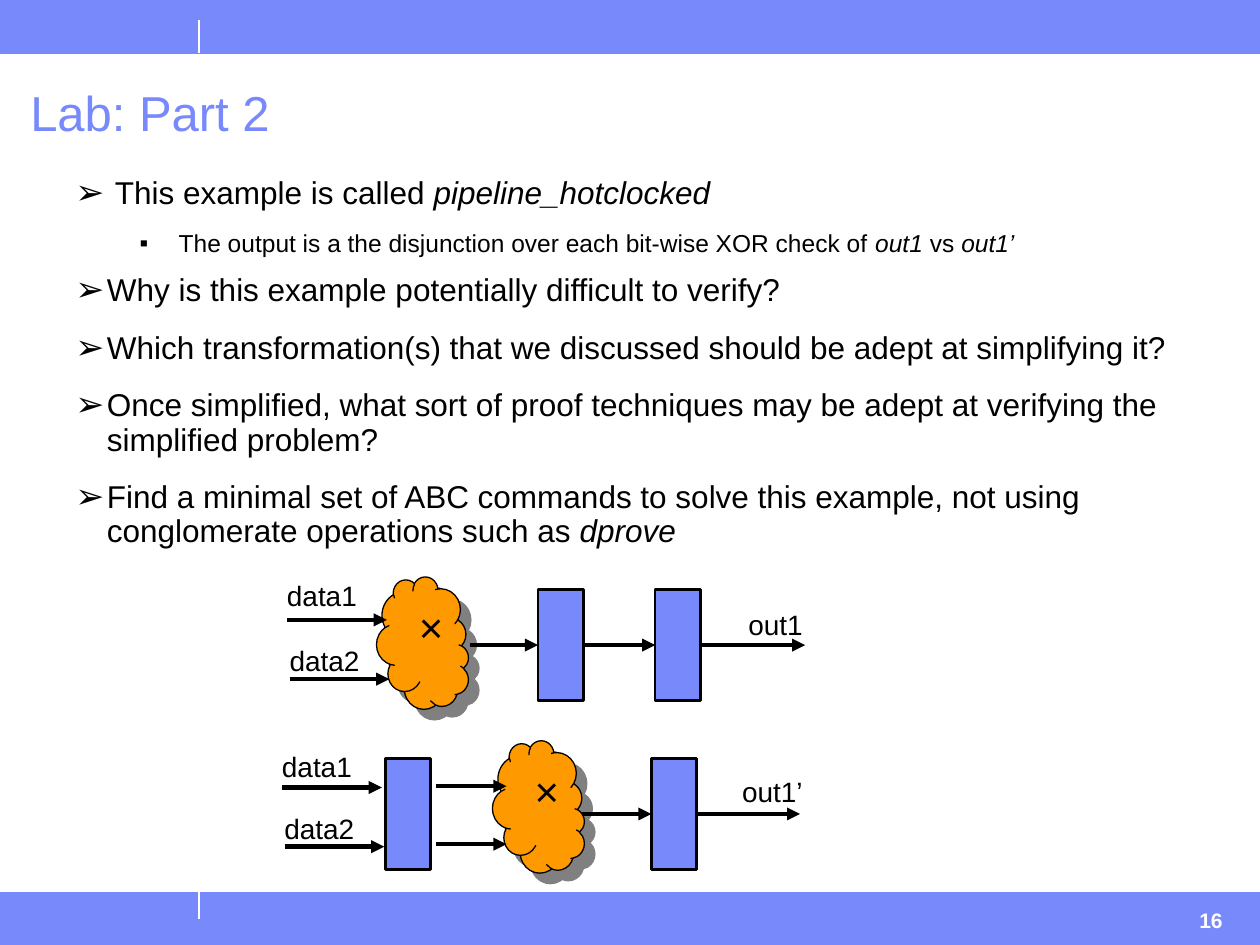
from pptx import Presentation
from pptx.dml.color import RGBColor
from pptx.enum.shapes import MSO_CONNECTOR, MSO_SHAPE
from pptx.enum.text import MSO_ANCHOR, MSO_AUTO_SIZE, PP_ALIGN
from pptx.oxml.ns import qn
from pptx.util import Inches, Pt
from lxml.etree import SubElement

BLUE = RGBColor(0x78, 0x89, 0xFB)
ORANGE = RGBColor(0xFF, 0x99, 0x00)
BLACK = RGBColor(0, 0, 0)
WHITE = RGBColor(0xFF, 0xFF, 0xFF)

BOX_W, BOX_H = 0.36, 0.88
CLOUD_W, CLOUD_H = 1.05, 0.73

# level: (left margin, hanging indent, bullet, bullet %, size, before, after)
LEVELS = [(0.25, 0.25, "➢", 110, 18, 6.8, 6.8),
          (0.82, 0.31, "▪", 100, 14, 4.4, 2.6)]

# (level, runs); every second run is italic
BULLETS = [
    (0, [" This example is called ", "pipeline_hotclocked"]),
    (1, ["The output is a the disjunction over each bit-wise XOR check of ",
         "out1", " vs ", "out1’"]),
    (0, ["Why is this example potentially difficult to verify?"]),
    (0, ["Which transformation(s) that we discussed should be adept at "
         "simplifying it?"]),
    (0, ["Once simplified, what sort of proof techniques may be adept at "
         "verifying the simplified problem?"]),
    (0, ["Find a minimal set of ABC commands to solve this example, not using "
         "conglomerate operations such as ", "dprove"]),
]


class SlideBuilder:
    def __init__(self, slide, font="Arial"):
        self.slide = slide
        self.font = font

    def run(self, p, text, size, color=BLACK, bold=False, italic=False):
        r = p.add_run()
        r.text = text
        f = r.font
        f.name, f.size, f.bold, f.italic = self.font, Pt(size), bold, italic
        f.color.rgb = color

    def title(self, text, x, y, w, h):
        sp = self.slide.shapes.title
        sp.left, sp.top, sp.width, sp.height = map(Inches, (x, y, w, h))
        tf = sp.text_frame
        tf.auto_size = MSO_AUTO_SIZE.NONE
        tf.vertical_anchor = MSO_ANCHOR.TOP
        p = tf.paragraphs[0]
        p.alignment = PP_ALIGN.LEFT
        p.line_spacing = 0.9
        self.run(p, text, 28, BLUE)

    def text_box(self, x, y, w, h, wrap=True):
        sp = self.slide.shapes.add_textbox(*map(Inches, (x, y, w, h)))
        sp.text_frame.word_wrap = wrap
        return sp.text_frame

    def label(self, text, x, y, w):
        """One-line signal name; no side margins, so it always fits its box."""
        tf = self.text_box(x, y, w, 0.37, wrap=False)
        tf.auto_size = MSO_AUTO_SIZE.NONE
        tf.margin_left = tf.margin_right = 0
        p = tf.paragraphs[0]
        p.alignment = PP_ALIGN.CENTER
        self.run(p, text, 16)

    def bullets(self, items, x, y, w, h):
        tf = self.text_box(x, y, w, h)
        for i, (level, runs) in enumerate(items):
            margin, hang, char, percent, size, before, after = LEVELS[level]
            p = tf.add_paragraph() if i else tf.paragraphs[0]
            p.level = level
            p.line_spacing = 0.9
            p.space_before = Pt(before if i else 0)
            p.space_after = Pt(after)
            pPr = p._p.get_or_add_pPr()
            pPr.set("marL", str(Inches(margin)))
            pPr.set("indent", str(-Inches(hang)))
            color = SubElement(pPr, qn("a:buClr"))
            SubElement(color, qn("a:srgbClr"), val=str(BLACK))
            SubElement(pPr, qn("a:buSzPct"), val=str(percent * 1000))
            SubElement(pPr, qn("a:buFont"), typeface=self.font)
            SubElement(pPr, qn("a:buChar"), char=char)
            for n, text in enumerate(runs):
                self.run(p, text, size, italic=n % 2 == 1)

    def shape(self, kind, x, y, w, h, fill, line, line_width):
        sp = self.slide.shapes.add_shape(kind, *map(Inches, (x, y, w, h)))
        sp.shadow.inherit = False
        sp.fill.solid()
        sp.fill.fore_color.rgb = fill
        sp.line.color.rgb = line
        sp.line.width = Pt(line_width)
        return sp

    def band(self, y):
        self.shape(MSO_SHAPE.RECTANGLE, 0, y, 10, 0.42, BLUE, BLUE, 0.25)

    def register(self, x, y):
        return self.shape(MSO_SHAPE.RECTANGLE, x, y, BOX_W, BOX_H,
                          BLUE, BLACK, 1.5)

    def multiplier(self, x, y):
        """Upright logic cloud with a hard shadow and a multiplication sign."""
        sp = self.shape(MSO_SHAPE.CLOUD, x, y, CLOUD_W, CLOUD_H,
                        ORANGE, BLACK, 0.75)
        sp.rotation = 90
        effects = sp._element.spPr.find(qn("a:effectLst"))
        shadow = SubElement(effects, qn("a:outerShdw"), dist=str(Pt(8.5)),
                            dir="2700000", algn="ctr", rotWithShape="0")
        SubElement(shadow, qn("a:srgbClr"), val="808080")
        tf = sp.text_frame
        tf.margin_left = tf.margin_right = Inches(0.05)
        tf.margin_top = tf.margin_bottom = Inches(0.1)
        tf.vertical_anchor = MSO_ANCHOR.TOP
        body = tf._txBody.bodyPr
        body.set("vert", "eaVert")
        body.set("rot", "10800000")
        p = tf.paragraphs[0]
        p.alignment = PP_ALIGN.CENTER
        self.run(p, "×", 24)

    def line(self, x1, y1, x2, y2, color=WHITE, width=0.75):
        cx = self.slide.shapes.add_connector(
            MSO_CONNECTOR.STRAIGHT, *map(Inches, (x1, y1, x2, y2)))
        cx.line.color.rgb = color
        cx.line.width = Pt(width)
        SubElement(cx._element.spPr, qn("a:effectLst"))
        return cx

    def arrow(self, x1, x2, y, source=None, target=None):
        """Level arrow, joined to the sides of registers where given."""
        cx = self.line(x1, y, x2, y, BLACK, 2.5)
        SubElement(cx.line._get_or_add_ln(), qn("a:tailEnd"), type="triangle")
        if source is not None:
            cx.begin_connect(source, 3)
        if target is not None:
            cx.end_connect(target, 1)


def draw_frame(b):
    for y in (0, 7.08):
        b.band(y)
    b.line(1.58, 0.16, 1.58, 0.42)
    b.line(1.58, 7.08, 1.58, 7.29)
    p = b.text_box(9.42, 7.15, 0.49, 0.35).paragraphs[0]
    b.run(p, "16", 12, WHITE, bold=True)


def draw_inputs(b, x, label_tops, arrow_ys):
    for i, (top, y) in enumerate(zip(label_tops, arrow_ys)):
        left = x + 0.02 * i
        b.label(f"data{i + 1}", left, top, 0.75)
        b.arrow(left + 0.1, left + 0.89, y)


def draw_multiply_first(b):
    top = 4.68
    mid = top + BOX_H / 2
    first, second = (b.register(x, top) for x in (4.27, 5.2))
    b.multiplier(2.83, 4.74)
    draw_inputs(b, 2.18, (4.54, 5.06), (4.92, 5.39))
    b.arrow(3.73, 4.27, mid, target=first)
    b.arrow(4.63, 5.2, mid, first, second)
    b.arrow(5.56, 6.39, mid, source=second)
    b.label("out1", 5.84, 4.77, 0.63)


def draw_register_first(b):
    top = 6.02
    mid = top + BOX_H / 2
    _, last = (b.register(x, top) for x in (3.06, 5.17))
    b.multiplier(3.75, 6.04)
    draw_inputs(b, 2.14, (5.9, 6.39), (6.25, 6.72))
    for y in (6.24, 6.7):
        b.arrow(3.46, 4.02, y)
    b.arrow(4.62, 5.17, mid, target=last)
    b.arrow(5.53, 6.35, mid, source=last)
    b.label("out1’", 5.79, 6.1, 0.68)


def main():
    prs = Presentation()
    prs.slide_width, prs.slide_height = Inches(10), Inches(7.5)
    b = SlideBuilder(prs.slides.add_slide(prs.slide_layouts[5]))
    draw_frame(b)
    b.title("Lab: Part 2", 0.14, 0.66, 9.83, 0.5)
    b.bullets(BULLETS, 0.5, 1.36, 9.26, 5.73)
    draw_multiply_first(b)
    draw_register_first(b)
    prs.save("out.pptx")


if __name__ == "__main__":
    main()
